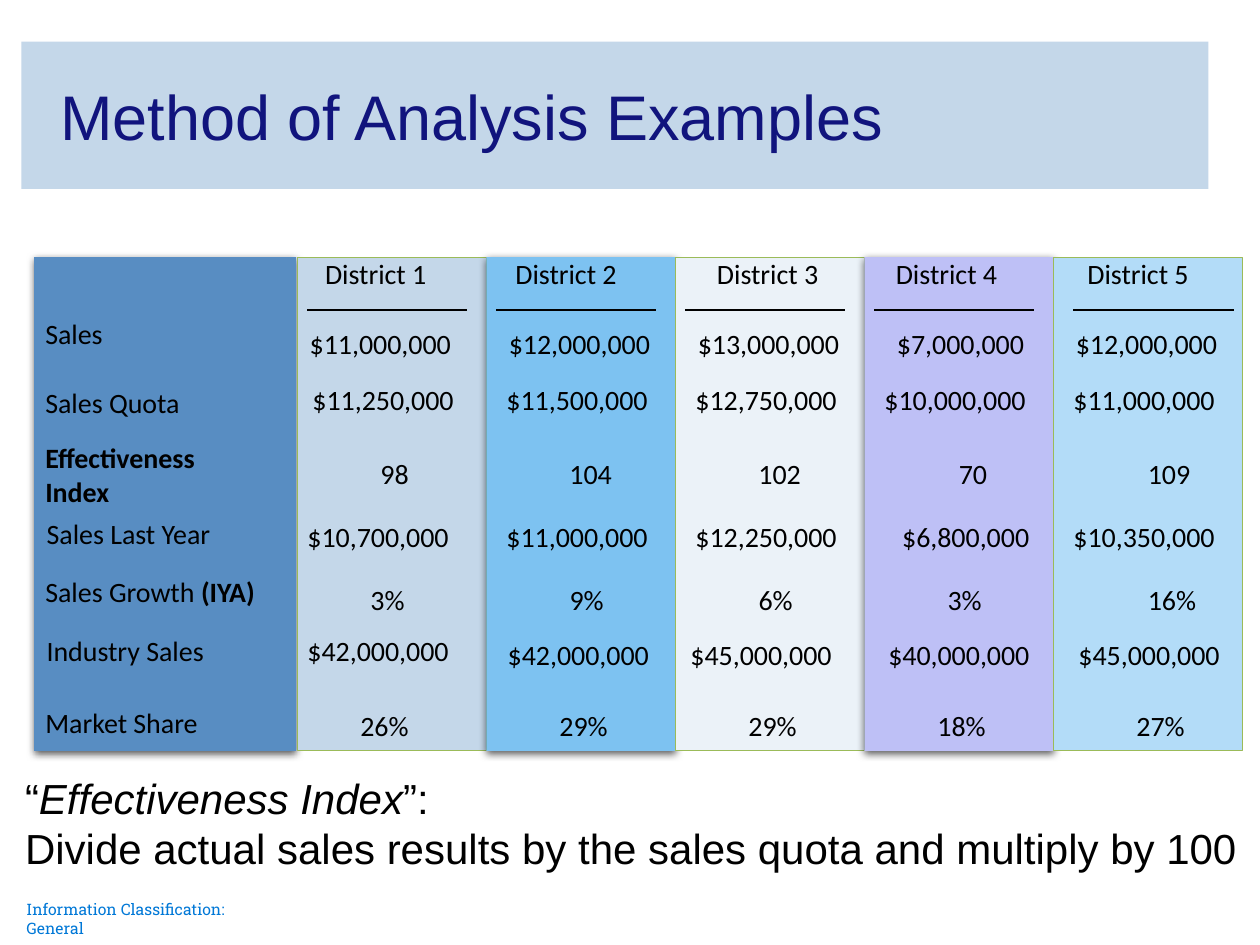
from dataclasses import dataclass

from lxml import etree
from pptx import Presentation
from pptx.dml.color import RGBColor
from pptx.enum.shapes import MSO_CONNECTOR, MSO_SHAPE
from pptx.enum.text import MSO_ANCHOR, MSO_AUTO_SIZE, PP_ALIGN
from pptx.oxml import parse_xml
from pptx.oxml.ns import nsdecls, qn
from pptx.util import Inches, Pt

RECT = MSO_SHAPE.RECTANGLE
STRAIGHT = MSO_CONNECTOR.STRAIGHT
MIDDLE = MSO_ANCHOR.MIDDLE
LEFT = PP_ALIGN.LEFT
NO_FIT = MSO_AUTO_SIZE.NONE
GROW = MSO_AUTO_SIZE.SHAPE_TO_FIT_TEXT
TITLE_ONLY = 5

COLORS = {
    "banner": "C4D7E9", "title": "11147D", "text": "000000",
    "footer": "0078D7", "border": "9BBB59", "labels": "588DC2",
    "d1": "C4D7E9", "d2": "7DC2F1", "d3": "EBF2F8",
    "d4": "BEC0F6", "d5": "B3DCF8",
}
TABLE_TOP, TABLE_HEIGHT = 2.04, 3.92
LABEL_LEFT, LABEL_WIDTH = 0.27, 2.08
DISTRICT_LEFT, DISTRICT_WIDTH = 2.36, 1.5
LINE_HEIGHT = 0.27


@dataclass
class Run:
    text: str
    bold: bool = False
    italic: bool = False


@dataclass
class Label:
    paragraphs: list[list[Run]]
    left: float
    top: float
    width: float


@dataclass
class Row:
    top: float
    values: list[str]
    lefts: list[float]
    pad: tuple[float, float] = (0, 0)


@dataclass
class Rule:
    left: float
    top: float = 2.46
    width: float = 1.27


LABELS = [
    Label([[Run("Sales")]], 0.36, 2.51, 0.46),
    Label([[Run("Sales Quota")]], 0.36, 3.06, 1.08),
    Label([[Run("Effectiveness", bold=True)], [Run("Index", bold=True)]], 0.36, 3.5, 1.27),
    Label([[Run("Sales Last Year")]], 0.37, 4.1, 1.32),
    Label([[Run("Sales Growth "), Run("(IYA)", bold=True)]], 0.36, 4.56, 1.71),
    Label([[Run("Industry Sales")]], 0.37, 5.03, 1.26),
    Label([[Run("Market Share")]], 0.36, 5.6, 1.75),
]
ROWS = [
    Row(2.04, [f"District {n}" for n in range(1, 6)], [2.58, 4.09, 5.69, 7.11, 8.63]),
    Row(2.54, ["$11,000,000", "$12,000,000", "$13,000,000", "$7,000,000", "$12,000,000"],
        [2.36, 3.94, 5.44, 7.02, 8.44], pad=(0.1, 0.05)),
    Row(3.04, ["$11,250,000", "$11,500,000", "$12,750,000", "$10,000,000", "$11,000,000"],
        [2.48, 4.02, 5.52, 7.02, 8.52]),
    Row(3.62, ["98", "104", "102", "70", "109"], [3.02, 4.52, 6.02, 7.61, 9.11]),
    Row(4.12, ["$10,700,000", "$11,000,000", "$12,250,000", "$6,800,000", "$10,350,000"],
        [2.44, 4.02, 5.52, 7.16, 8.52]),
    Row(4.62, ["3%", "9%", "6%", "3%", "16%"], [2.94, 4.52, 6.02, 7.52, 9.11]),
    Row(5.03, ["$42,000,000"], [2.44]),
    Row(5.06, ["$42,000,000", "$45,000,000", "$40,000,000", "$45,000,000"],
        [4.03, 5.48, 7.05, 8.56]),
    Row(5.62, ["26%", "29%", "29%", "18%", "27%"], [2.86, 4.44, 5.94, 7.44, 9.02]),
]
RULES = [Rule(left) for left in (2.44, 3.94, 5.44, 6.94, 8.52)]


def rgb(name: str) -> RGBColor:
    return RGBColor.from_string(COLORS[name])


def fill_text(tf, paragraphs: list[list[Run]], *, size: float = 16,
              font: str = "Calibri", color: str = "text") -> None:
    for i, runs in enumerate(paragraphs):
        p = tf.add_paragraph() if i else tf.paragraphs[0]
        p.alignment = LEFT
        for run in runs:
            r = p.add_run()
            r.text = run.text
            r.font.name, r.font.size = font, Pt(size)
            r.font.bold, r.font.italic = run.bold, run.italic
            r.font.color.rgb = rgb(color)


def add_text(slide, paragraphs: list[list[Run]], left: float, top: float,
             width: float, height: float, *, pad: tuple[float, float] = (0, 0),
             wrap: bool = False, **text_format) -> None:
    sp = slide.shapes.add_textbox(Inches(left), Inches(top), Inches(width), Inches(height))
    tf = sp.text_frame
    tf.word_wrap, tf.auto_size = wrap, GROW
    tf.margin_left = tf.margin_right = Inches(pad[0])
    tf.margin_top = tf.margin_bottom = Inches(pad[1])
    fill_text(tf, paragraphs, **text_format)


def value_width(text: str) -> float:
    """Width of a 16-point table value in inches."""
    if text.startswith("District"):
        return 0.81
    special = {",": 0.06, "%": 0.17}
    return round(sum(special.get(ch, 0.113) for ch in text), 2)


def add_column(slide, left: float, width: float, color: str, raised: bool) -> None:
    """A raised column casts a shadow; a flat one has a thin border."""
    sp = slide.shapes.add_shape(RECT, Inches(left), Inches(TABLE_TOP),
                                Inches(width), Inches(TABLE_HEIGHT))
    sp.shadow.inherit = False
    sp.fill.solid()
    sp.fill.fore_color.rgb = rgb(color)
    if raised:
        sp.line.fill.background()
        effects = sp._element.spPr.find(qn("a:effectLst"))
        effects.append(parse_xml(
            f'<a:outerShdw {nsdecls("a")} blurRad="{Pt(4.5)}" dist="{Pt(1.5)}" '
            'dir="5400000" rotWithShape="0"><a:srgbClr val="000000">'
            '<a:alpha val="63000"/></a:srgbClr></a:outerShdw>'))
    else:
        sp.line.color.rgb = rgb("border")
        sp.line.width = Pt(0.5)


def add_row(slide, row: Row) -> None:
    pad_x, pad_y = row.pad
    for text, left in zip(row.values, row.lefts):
        add_text(slide, [[Run(text)]], left, row.top, value_width(text) + 2 * pad_x,
                 LINE_HEIGHT + 2 * pad_y, pad=row.pad)


def add_rule(slide, rule: Rule) -> None:
    y = Inches(rule.top)
    line = slide.shapes.add_connector(STRAIGHT, Inches(rule.left), y,
                                      Inches(rule.left + rule.width), y)
    line.line.color.rgb = rgb("text")
    line.line.width = Pt(1.5)
    etree.SubElement(line._element.spPr, qn("a:effectLst"))


def set_title(slide, text: str) -> None:
    sp = slide.shapes.title
    sp.left, sp.top, sp.width, sp.height = map(Inches, (0.17, 0.33, 9.42, 1.17))
    sp.fill.solid()
    sp.fill.fore_color.rgb = rgb("banner")
    tf = sp.text_frame
    tf.word_wrap, tf.auto_size, tf.vertical_anchor = True, NO_FIT, MIDDLE
    fill_text(tf, [[Run(text)]], size=36, font="Arial", color="title")
    tf.paragraphs[0]._p.get_or_add_pPr().set("marL", str(Inches(0.21)))


def main() -> None:
    prs = Presentation()
    prs.slide_width, prs.slide_height = Inches(10), Inches(7.5)
    slide = prs.slides.add_slide(prs.slide_layouts[TITLE_ONLY])
    set_title(slide, "Method of Analysis Examples")

    add_column(slide, LABEL_LEFT, LABEL_WIDTH, "labels", raised=True)
    for i in range(5):
        add_column(slide, DISTRICT_LEFT + i * DISTRICT_WIDTH, DISTRICT_WIDTH,
                   f"d{i + 1}", raised=i % 2 == 1)
    for label in LABELS:
        add_text(slide, label.paragraphs, label.left, label.top, label.width,
                 LINE_HEIGHT * len(label.paragraphs))
    for row in ROWS:
        add_row(slide, row)
    for rule in RULES:
        add_rule(slide, rule)

    add_text(slide, [
        [Run("“"), Run("Effectiveness Index", italic=True), Run("”:")],
        [Run("Divide actual sales results by the sales quota and multiply by 100")],
    ], 0.1, 6.08, 9.92, 0.91, pad=(0.1, 0.05), size=24, font="Arial")
    add_text(slide, [[Run("Information Classification: General")]], 0.21, 7.14, 2.03, 0.15,
             wrap=True, size=9, font="Roboto Slab", color="footer")
    prs.save("out.pptx")


if __name__ == "__main__":
    main()
